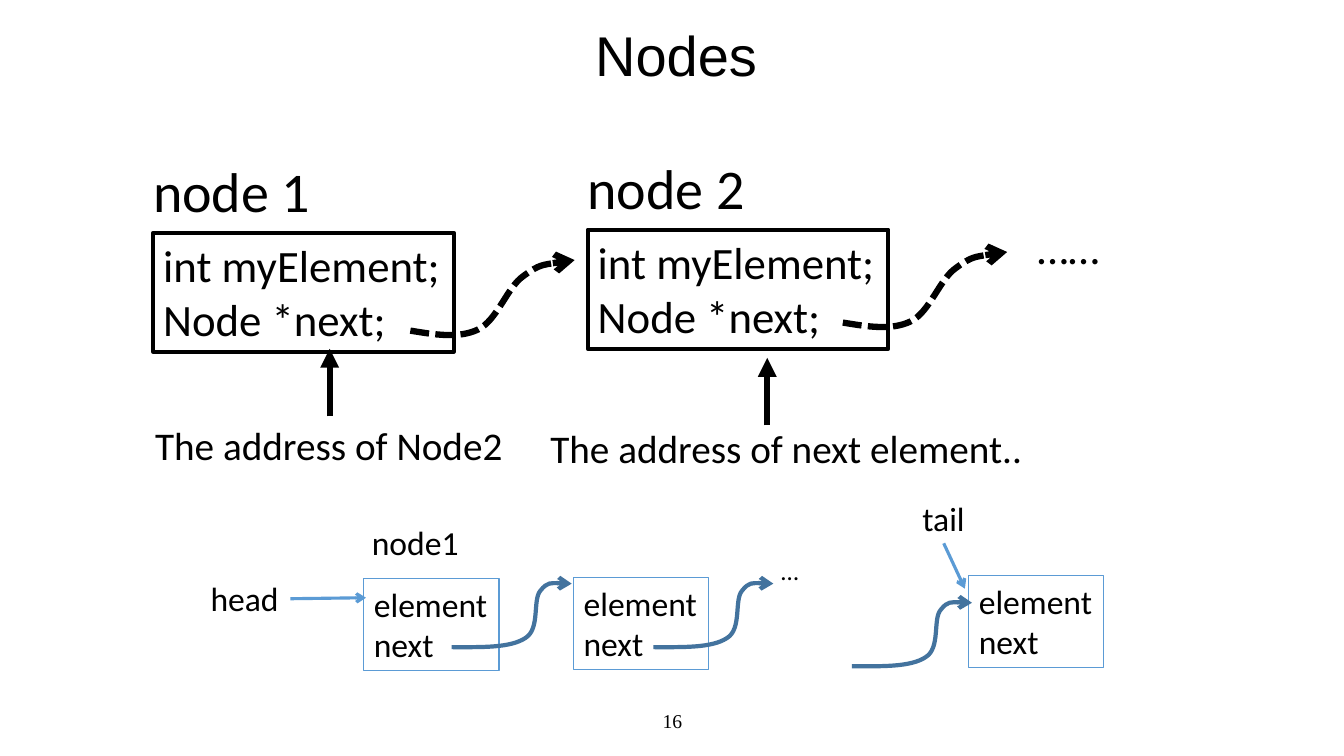
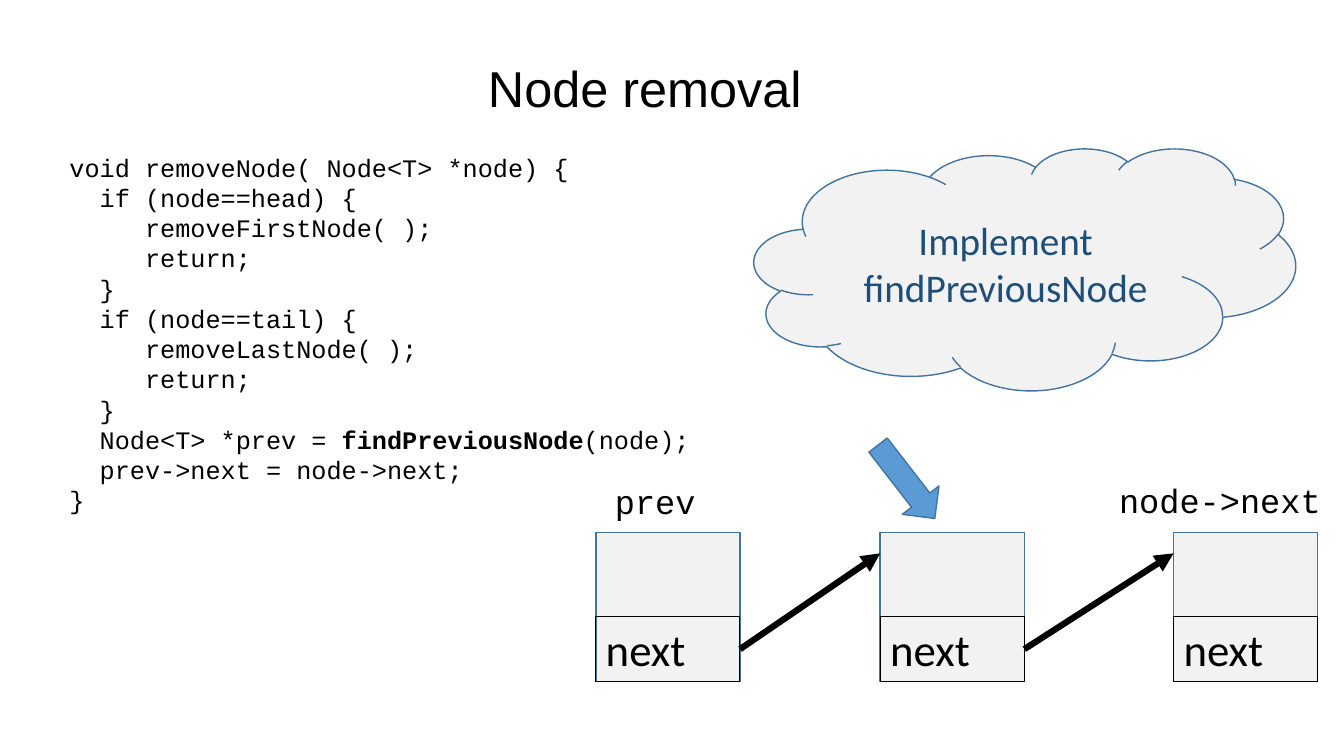
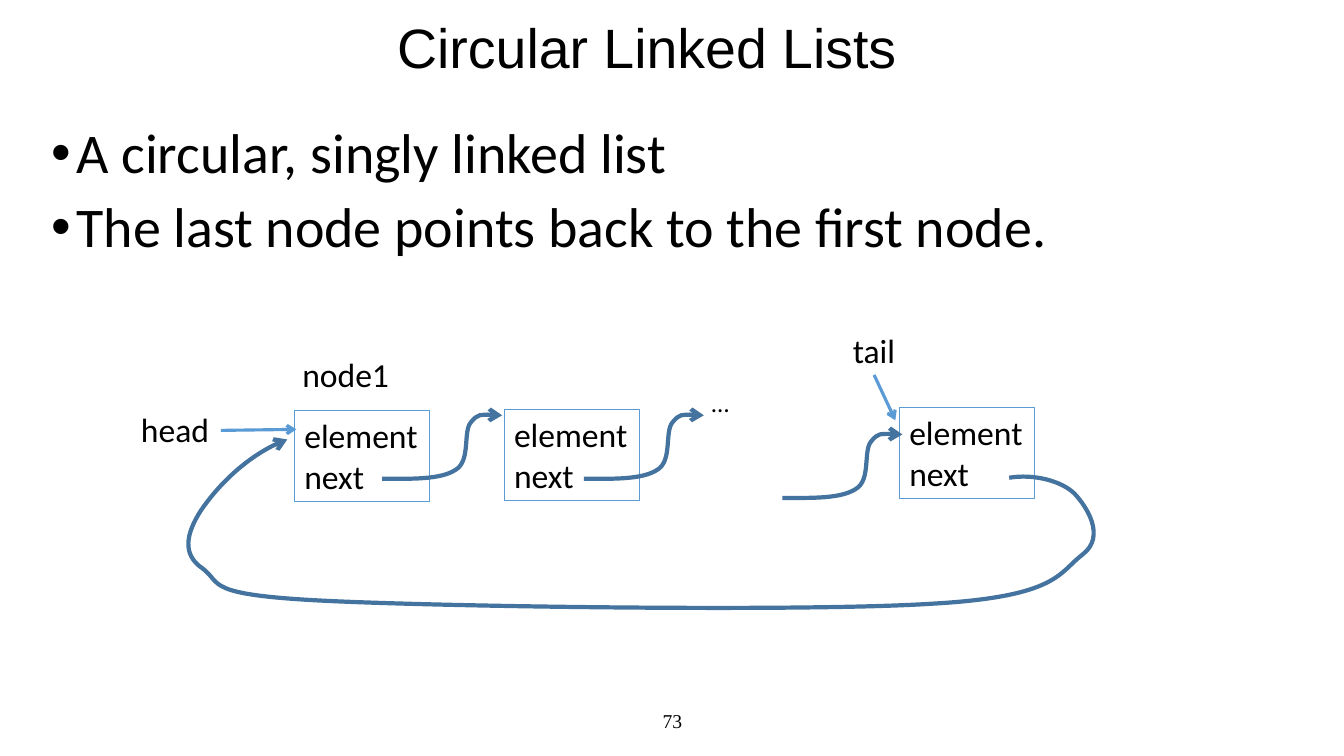
from dataclasses import dataclass
from typing import NamedTuple

from lxml.etree import SubElement
from pptx import Presentation
from pptx.dml.color import RGBColor
from pptx.enum.dml import MSO_LINE
from pptx.enum.shapes import MSO_CONNECTOR, MSO_SHAPE
from pptx.enum.text import MSO_ANCHOR, MSO_AUTO_SIZE, PP_ALIGN
from pptx.oxml.ns import qn
from pptx.util import Inches, Pt


class Face(NamedTuple):
    """Font name, size in points and colour."""
    name: str
    size: float
    color: RGBColor


class Pen(NamedTuple):
    """Line colour, width in points, arrowhead and dash."""
    color: RGBColor
    width: float
    head: str = ""
    dash: bool = False


class Area(NamedTuple):
    """Left, top, width and height in inches."""
    x: float
    y: float
    w: float
    h: float


class Label(NamedTuple):
    """Words with a place and a face."""
    text: str
    area: Area
    face: Face


class Point(NamedTuple):
    """A place in inches."""
    x: float
    y: float


BLACK = RGBColor(0, 0, 0)
BLUE = RGBColor(0x5B, 0x9B, 0xD5)
STEEL = RGBColor(0x43, 0x73, 0x9E)


@dataclass(frozen=True)
class Theme:
    """Colours, type sizes and lines of the deck."""
    pale: RGBColor = RGBColor(0xF2, 0xF2, 0xF2)
    blue: RGBColor = BLUE
    title: Face = Face("Arial", 40, BLACK)
    close: Face = Face("Arial", 39.6, BLACK)
    small: Face = Face("Arial", 36, BLACK)
    page: Face = Face("Times New Roman", 14, BLACK)
    huge: Face = Face("Calibri", 40, BLACK)
    big: Face = Face("Calibri", 32, BLACK)
    note: Face = Face("Calibri", 28, BLACK)
    body: Face = Face("Calibri", 24, BLACK)
    dots: Face = Face("Calibri", 18, BLACK)
    cloud: Face = Face("Calibri", 28, RGBColor(0x1F, 0x4E, 0x79))
    code: Face = Face("Courier New", 18, BLACK)
    name: Face = Face("Courier New", 24, BLACK)
    frame: Pen = Pen(BLACK, 3)
    thin: Pen = Pen(BLACK, 0.75)
    cell: Pen = Pen(BLUE, 0.75)
    edge: Pen = Pen(STEEL, 1)
    arrow: Pen = Pen(BLACK, 4.5, "triangle")
    dashed: Pen = Pen(BLACK, 4.5, "arrow", True)
    link: Pen = Pen(STEEL, 3, "arrow")
    light: Pen = Pen(BLUE, 2.25, "arrow")


THEME = Theme()
LINK = [Point(*p) for p in (
    (0, 0), (0.29, 0), (0.58, 0.01), (0.73, -0.09), (0.88, -0.18),
    (0.8, -0.47), (0.88, -0.56), (0.95, -0.65), (1.07, -0.64), (1.19, -0.63))]
WAVE = [Point(*p) for p in (
    (0, 0), (0.24, 0.04), (0.48, 0.08), (0.67, -0.01), (0.86, -0.1),
    (0.96, -0.43), (1.12, -0.54), (1.28, -0.66), (1.45, -0.68), (1.63, -0.7))]
LOOP = [Point(*p) for p in (
    (10.01, 4.74), (10.25, 4.7), (10.53, 4.77), (10.66, 4.9),
    (10.78, 5.03), (10.97, 5.32), (10.74, 5.5), (10.5, 5.68), (10.5, 5.92),
    (9.24, 5.99), (7.99, 6.07), (4.42, 6.02), (3.21, 5.96), (2.01, 5.9),
    (2.21, 5.79), (2.01, 5.64), (1.8, 5.5), (1.85, 5.29), (1.99, 5.07),
    (2.13, 4.86), (2.46, 4.5), (2.85, 4.36))]
CODE = """void removeNode( Node<T> *node) {
  if (node==head) {
     removeFirstNode( );
     return;
  }
  if (node==tail) {
     removeLastNode( );
     return;
  }
  Node<T> *prev = findPreviousNode(node);
  prev->next = node->next;
}"""


def place(area: Area) -> list[int]:
    """Turn an area into lengths."""
    return [Inches(v) for v in area]


def write(frame, text: str, face: Face, align=PP_ALIGN.LEFT,
          anchor=MSO_ANCHOR.TOP, wrap: bool = False, lead: float = 0,
          strong: str = "", list_gap: float = 0) -> None:
    """Fill a text frame, one paragraph a line."""
    frame.word_wrap = wrap
    frame.auto_size = MSO_AUTO_SIZE.NONE if wrap else MSO_AUTO_SIZE.SHAPE_TO_FIT_TEXT
    frame.vertical_anchor = anchor
    for i, line in enumerate(text.split("\n")):
        para = frame.add_paragraph() if i else frame.paragraphs[0]
        for part in line.partition(strong) if strong else (line,):
            if part:
                run = para.add_run()
                run.text = part
                if part == strong:
                    run.font.bold = True
        para.alignment = align
        if list_gap:
            props = para._p.get_or_add_pPr()
            props.set("marL", str(Inches(0.25)))
            props.set("indent", str(-Inches(0.25)))
            SubElement(props, qn("a:buFont"), typeface="Arial")
            SubElement(props, qn("a:buChar"), char="•")
            if i:
                para.space_before = Pt(list_gap)
        if lead:
            para.line_spacing = lead
        para.font.name = face.name
        para.font.size = Pt(face.size)
        para.font.color.rgb = face.color


def stroke(shape, pen: Pen) -> None:
    """Draw the line of a shape or connector."""
    line = shape.line
    line.color.rgb = pen.color
    line.width = Pt(pen.width)
    if pen.dash:
        line.dash_style = MSO_LINE.SQUARE_DOT
    if pen.head:
        SubElement(line._get_or_add_ln(), qn("a:tailEnd"), type=pen.head)


def shape(slide, kind, area: Area, pen: Pen, fill: RGBColor | None = None):
    """Add a preset shape without shadow."""
    item = slide.shapes.add_shape(kind, *place(area))
    if fill is None:
        item.fill.background()
    else:
        item.fill.solid()
        item.fill.fore_color.rgb = fill
    stroke(item, pen)
    item.shadow.inherit = False
    return item


def box(slide, text: str, area: Area, face: Face, pen: Pen) -> None:
    """Add a framed box of text."""
    write(shape(slide, MSO_SHAPE.RECTANGLE, area, pen).text_frame, text, face)


def label(slide, item: Label, **style) -> None:
    """Add a text box."""
    frame = slide.shapes.add_textbox(*place(item.area)).text_frame
    write(frame, item.text, item.face, **style)


def arrow(slide, start: Point, end: Point, pen: Pen) -> None:
    """Add a straight arrow."""
    item = slide.shapes.add_connector(
        MSO_CONNECTOR.STRAIGHT, *[Inches(v) for v in (*start, *end)])
    stroke(item, pen)
    SubElement(item._element.spPr, qn("a:effectLst"))


def reach(vals: list[float], steps: int = 50) -> tuple[float, float]:
    """Find the lowest and highest value of a cubic curve on one axis."""
    seen = [vals[0]]
    for i in range(0, len(vals) - 1, 3):
        a, b, c, d = vals[i:i + 4]
        for t in (n / steps for n in range(steps + 1)):
            u = 1 - t
            seen.append(a * u**3 + 3 * b * t * u**2 + 3 * c * t**2 * u + d * t**3)
    return min(seen), max(seen)


def curve(slide, knots: list[Point], pen: Pen, x: float = 0, y: float = 0) -> None:
    """Add an open cubic curve, moved by x and y."""
    first, *rest = [(Inches(x + k.x), Inches(y + k.y)) for k in knots]
    form = slide.shapes.build_freeform(*first, scale=1.0)
    form.add_line_segments(rest, close=False)
    item = form.convert_to_shape()
    left, right = reach([x + k.x for k in knots])
    top, base = reach([y + k.y for k in knots])
    area = Area(left, top, right - left, base - top)
    item.left, item.top, item.width, item.height = place(area)
    track = next(item._element.iter(qn("a:path")))
    track.set("w", str(item.width))
    track.set("h", str(item.height))
    for spot, (px, py) in zip(track.iter(qn("a:pt")), [first, *rest]):
        spot.set("x", str(px - item.left))
        spot.set("y", str(py - item.top))
    lines = track.findall(qn("a:lnTo"))
    for i in range(0, len(lines), 3):
        bend = SubElement(track, qn("a:cubicBezTo"))
        for line in lines[i:i + 3]:
            bend.append(line[0])
            track.remove(line)
    item.fill.background()
    stroke(item, pen)
    item.shadow.inherit = False


def start(deck, title: str, area: Area, face: Face = THEME.title,
          lead: float = 0.9, page: str = ""):
    """Add a slide with its title and page number."""
    slide = deck.slides.add_slide(deck.slide_layouts[5])
    head = slide.shapes.title
    head.left, head.top, head.width, head.height = place(area)
    middle = dict(align=PP_ALIGN.CENTER, anchor=MSO_ANCHOR.MIDDLE, wrap=True)
    write(head.text_frame, title, face, lead=lead, **middle)
    if page:
        label(slide, Label(page, Area(4.42, 6.95, 4.5, 0.4), THEME.page), **middle)
    return slide


def chain(slide, x: float, y: float) -> None:
    """Draw the linked list with its first node at x, y."""
    for dx, dy in ((0, 0), (2.08, -0.01), (6, -0.03)):
        box(slide, "element\nnext", Area(x + dx, y + dy, 1.34, 0.91),
            THEME.body, THEME.cell)
    for text, dx, dy, w, h, face in (
            ("node1", -0.02, -0.61, 1.07, 0.5, THEME.body),
            ("head", -1.62, -0.06, 0.89, 0.5, THEME.body),
            ("tail", 5.44, -0.85, 0.63, 0.5, THEME.body),
            ("…", 4.04, -0.28, 0.38, 0.4, THEME.dots)):
        label(slide, Label(text, Area(x + dx, y + dy, w, h), face))
    for dx, dy in ((0.87, 0.68), (2.87, 0.68), (4.84, 0.87)):
        curve(slide, LINK, THEME.link, x + dx, y + dy)
    arrow(slide, Point(x - 0.73, y + 0.2), Point(x + 0.02, y + 0.19), THEME.light)
    arrow(slide, Point(x + 5.75, y - 0.35), Point(x + 5.96, y + 0.1), THEME.light)


def nodes(deck) -> None:
    """Build the slide on nodes."""
    slide = start(deck, "Nodes", Area(0.73, 0.29, 11.95, 0.58), page="16")
    for text, x, y in (("node 1", 1.52, 2.31), ("node 2", 5.83, 2.28)):
        box(slide, "int myElement;\nNode *next;", Area(x, y, 2.98, 1.18),
            THEME.big, THEME.frame)
        label(slide, Label(text, Area(x - 0.1, y - 0.81, 1.84, 0.77), THEME.huge))
    for item in (
            Label("The address of Node2", Area(1.44, 4.13, 3.69, 0.57), THEME.note),
            Label("The address of next element..", Area(5.36, 4.16, 4.93, 0.57),
                  THEME.note),
            Label("……", Area(10.19, 2.13, 0.85, 0.64), THEME.big)):
        label(slide, item)
    for x, y in ((3.27, 4.13), (7.61, 4.22)):
        arrow(slide, Point(x, y), Point(x, y - 0.67), THEME.arrow)
    for x, y in ((4.07, 3.28), (8.36, 3.2)):
        curve(slide, WAVE, THEME.dashed, x, y)
    chain(slide, 3.61, 5.74)


def removal(deck) -> None:
    """Build the slide on node removal."""
    slide = start(deck, "Node removal", Area(0.84, 0.43, 11.11, 0.76),
                  THEME.small, 1.2)
    lefts, width = (5.91, 8.73, 11.64), 1.43
    for x in lefts:
        shape(slide, MSO_SHAPE.RECTANGLE, Area(x, 5.28, width, 1.48),
              THEME.edge, THEME.pale)
        box(slide, "next", Area(x, 6.12, width, 0.64), THEME.big, THEME.thin)
    for x, end in zip(lefts, lefts[1:]):
        arrow(slide, Point(x + width, 6.44), Point(end, 5.49), THEME.arrow)
    pointer = shape(slide, MSO_SHAPE.RIGHT_ARROW, Area(8.53, 4.55, 0.92, 0.46),
                    THEME.edge, THEME.blue)
    pointer.rotation = 52.3
    label(slide, Label(CODE, Area(0.59, 1.46, 6.38, 4.04), THEME.code),
          strong="findPreviousNode", wrap=True)
    label(slide, Label("prev", Area(6, 4.72, 1.01, 0.5), THEME.name))
    label(slide, Label("node->next", Area(11, 4.71, 2.22, 0.5), THEME.name))
    cloud = shape(slide, MSO_SHAPE.CLOUD, Area(7.48, 1.47, 5.37, 2.4),
                  THEME.edge, THEME.pale)
    write(cloud.text_frame, "Implement findPreviousNode", THEME.cloud,
          PP_ALIGN.CENTER, MSO_ANCHOR.MIDDLE, True)


def circle(deck) -> None:
    """Build the slide on circular lists."""
    slide = start(deck, "Circular Linked Lists", Area(1.58, 0.25, 9.67, 0.5),
                  THEME.close, page="73")
    text = ("A circular, singly linked list\n"
            "The last node points back to the first node.")
    label(slide, Label(text, Area(0.41, 1.19, 12.34, 1.75), THEME.huge),
          wrap=True, lead=0.9, list_gap=10)
    chain(slide, 2.92, 4.07)
    curve(slide, LOOP, THEME.link)


def main() -> None:
    """Build and save the deck."""
    deck = Presentation()
    deck.slide_width, deck.slide_height = Inches(13.33), Inches(7.5)
    for build in (nodes, removal, circle):
        build(deck)
    deck.save("out.pptx")


if __name__ == "__main__":
    main()
